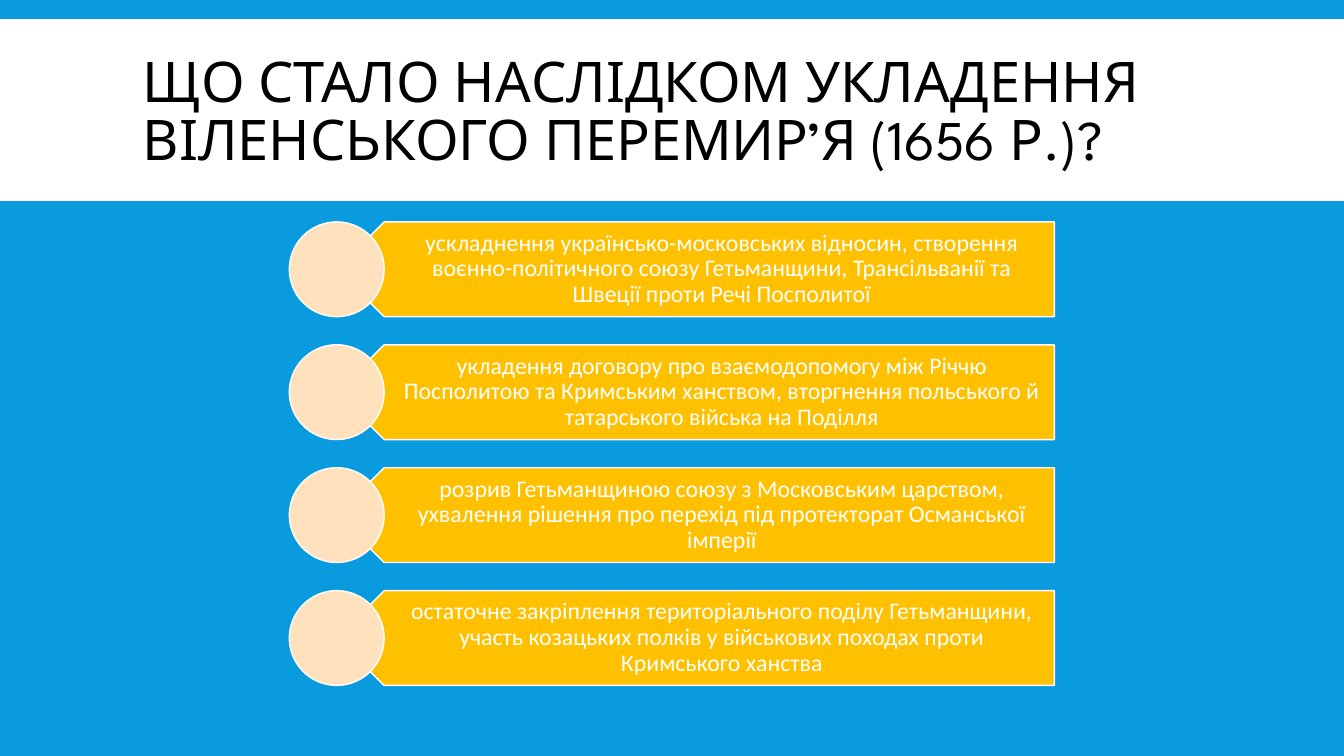
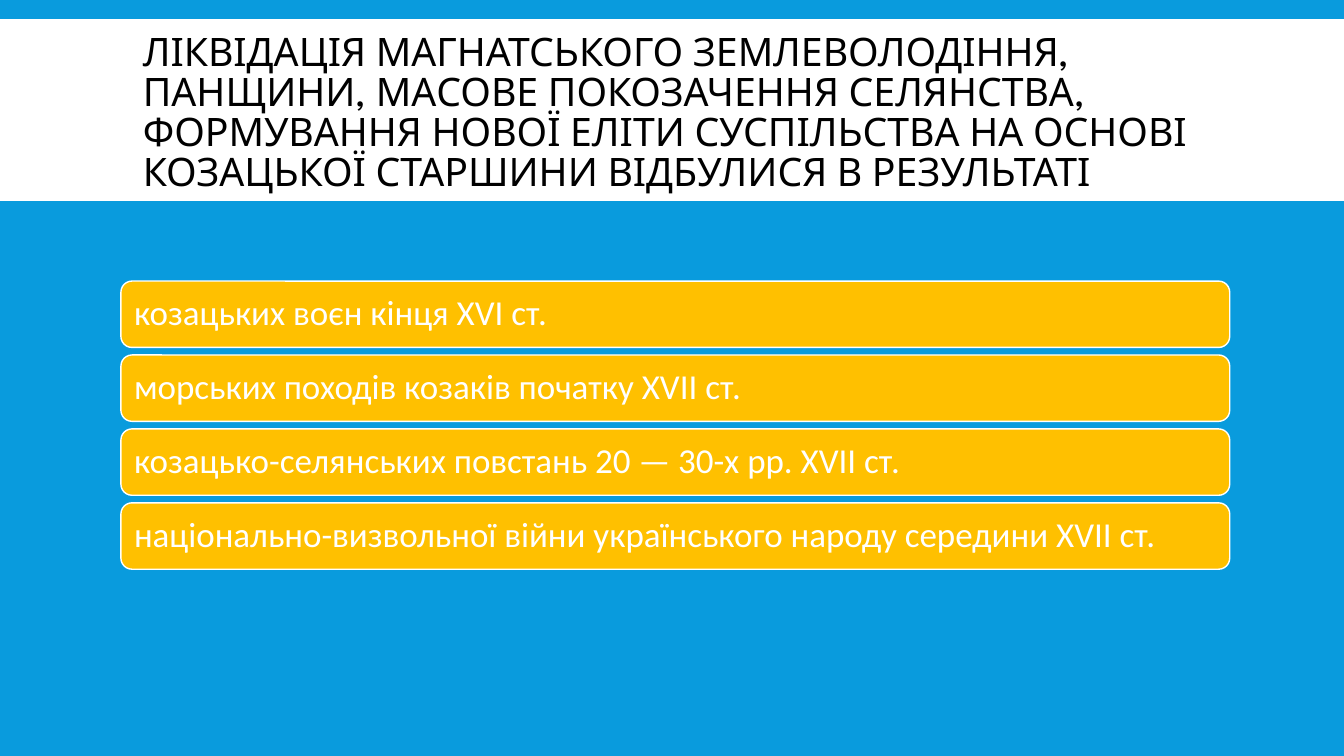
from pptx import Presentation
from pptx.dml.color import RGBColor
from pptx.enum.shapes import MSO_SHAPE as SHAPE
from pptx.enum.text import MSO_ANCHOR as ANCHOR, PP_ALIGN as ALIGN
from pptx.util import Pt

COLORS = {"sky": "099BDD", "white": "FFFFFF", "black": "000000",
          "amber": "FFC000", "peach": "FFE2BD"}
WIDTH, HEIGHT = 960, 540

CONSEQUENCES = {
    "title": "ЩО СТАЛО НАСЛІДКОМ УКЛАДЕННЯ ВІЛЕНСЬКОГО ПЕРЕМИР’Я (1656 Р.)?",
    "size": 40,
    "answers": [
        "ускладнення українсько-московських відносин, створення воєнно-політичного союзу "
        "Гетьманщини, Трансільванії та Швеції проти Речі Посполитої",
        "укладення договору про взаємодопомогу між Річчю Посполитою та Кримським ханством, "
        "вторгнення польського й татарського війська на Поділля",
        "розрив Гетьманщиною союзу з Московським царством, ухвалення рішення про перехід "
        "під протекторат Османської імперії",
        "остаточне закріплення територіального поділу Гетьманщини, участь козацьких полків "
        "у військових походах проти Кримського ханства",
    ],
}
CAUSES = {
    "title": "ЛІКВІДАЦІЯ МАГНАТСЬКОГО ЗЕМЛЕВОЛОДІННЯ, ПАНЩИНИ, МАСОВЕ ПОКОЗАЧЕННЯ "
             "СЕЛЯНСТВА, ФОРМУВАННЯ НОВОЇ ЕЛІТИ СУСПІЛЬСТВА НА ОСНОВІ КОЗАЦЬКОЇ "
             "СТАРШИНИ ВІДБУЛИСЯ В РЕЗУЛЬТАТІ",
    "size": 28,
    "answers": [
        "козацьких воєн кінця XVI ст.",
        "морських походів козаків початку XVII ст.",
        "козацько-селянських повстань 20 — 30-х рр. XVII ст.",
        "національно-визвольної війни українського народу середини XVII ст.",
    ],
}


def rgb(name):
    return RGBColor.from_string(COLORS[name])


def add_shape(page, kind, frame, fill, outlined=True):
    shape = page.shapes.add_shape(kind, *map(Pt, frame))
    shape.shadow.inherit = False
    shape.fill.solid()
    shape.fill.fore_color.rgb = rgb(fill)
    if outlined:
        shape.line.color.rgb = rgb("white")
        shape.line.width = Pt(1)
    else:
        shape.line.fill.background()
    return shape


def write(shape, text, size, font="Calibri", color="white", align=ALIGN.LEFT,
          spacing=0.9, insets=(7.2, 3.6, 7.2, 3.6)):
    frame = shape.text_frame
    frame.word_wrap = True
    frame.vertical_anchor = ANCHOR.MIDDLE
    for side, inset in zip(("left", "top", "right", "bottom"), insets):
        setattr(frame, f"margin_{side}", Pt(inset))
    para = frame.paragraphs[0]
    para.alignment, para.line_spacing = align, spacing
    span = para.add_run()
    span.text = text
    for name, value in {"name": font, "size": Pt(size)}.items():
        setattr(span.font, name, value)
    span.font.color.rgb = rgb(color)


def add_page(deck, content):
    """Add a slide with the white title band."""
    page = deck.slides.add_slide(deck.slide_layouts[6])
    add_shape(page, SHAPE.RECTANGLE, (0, 13.7, WIDTH, 129.8), "white", outlined=False)
    box = page.shapes.add_textbox(Pt(95), Pt(22.3), Pt(770.4), Pt(118.8))
    write(box, content["title"], content["size"], "League Spartan", "black", spacing=0.85)
    return page


def add_arrow_list(page, answers):
    left, top, height, pitch = 206.7, 158.5, 67.7, 87.8
    arrow_left, right = left + height / 2, 753.1
    text_left = left + 51
    for index, answer in enumerate(answers):
        y = top + index * pitch
        arrow = add_shape(page, SHAPE.PENTAGON,
                          (arrow_left, y, right - arrow_left, height), "amber")
        arrow.rotation = 180
        box = page.shapes.add_textbox(*map(Pt, (text_left, y, right - text_left, height)))
        write(box, answer, 17, align=ALIGN.CENTER, insets=(29.8, 5, 9.4, 5))
        add_shape(page, SHAPE.OVAL, (left, y, height, height), "peach")


def add_bar_list(page, answers):
    left, top, width, height, pitch = 86.4, 200.8, 792, 47.4, 52.8
    for index, answer in enumerate(answers):
        bar = add_shape(page, SHAPE.ROUNDED_RECTANGLE,
                        (left, top + index * pitch, width, height), "amber")
        write(bar, answer, 25, insets=(7.2,) * 4)


def main():
    deck = Presentation()
    deck.slide_width, deck.slide_height = Pt(WIDTH), Pt(HEIGHT)
    backdrop = deck.slide_master.background.fill
    backdrop.solid()
    backdrop.fore_color.rgb = rgb("sky")
    for content, add_list in ((CONSEQUENCES, add_arrow_list), (CAUSES, add_bar_list)):
        add_list(add_page(deck, content), content["answers"])
    deck.save("out.pptx")


if __name__ == "__main__":
    main()
